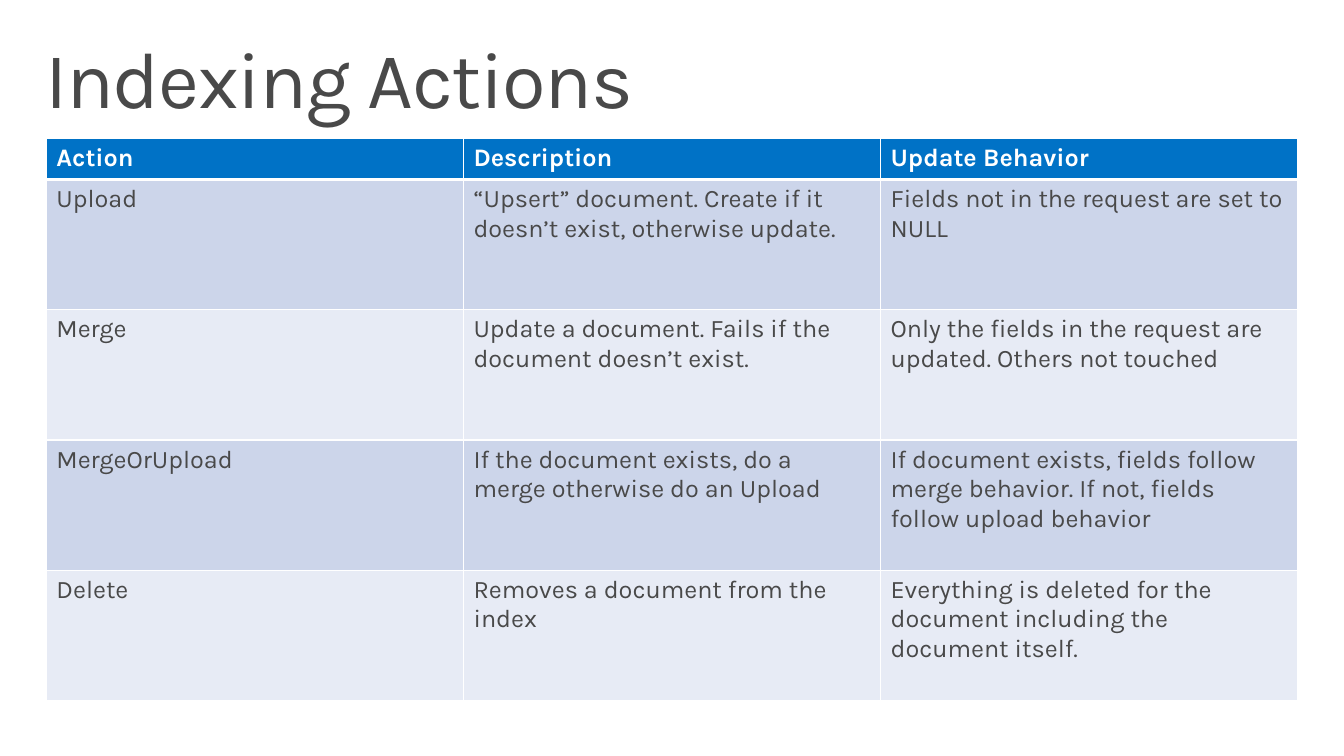
from lxml.etree import SubElement
from pptx import Presentation
from pptx.dml.color import RGBColor
from pptx.enum.text import MSO_ANCHOR, PP_ALIGN
from pptx.oxml.ns import qn
from pptx.util import Inches, Pt

WIDTH, HEIGHT = 13.33, 7.5
TITLE_ONLY = 5
ACTIONS = [
    ("Action", "Description", "Update Behavior"),
    ("Upload", "“Upsert” document. Create if it doesn’t exist, otherwise update.",
     "Fields not in the request are set to NULL"),
    ("Merge", "Update a document. Fails if the document doesn’t exist.",
     "Only the fields in the request are updated. Others not touched"),
    ("MergeOrUpload", "If the document exists, do a merge otherwise do an Upload",
     "If document exists, fields follow merge behavior. If not, fields follow upload behavior"),
    ("Delete", "Removes a document from the index",
     "Everything is deleted for the document including the document itself."),
]


def color(value):
    return RGBColor.from_string(value)


def set_borders(cell, widths, value):
    """Draw the cell's edges; widths maps L, R, T and B to points."""
    properties = cell._tc.get_or_add_tcPr()
    for side, width in widths.items():
        line = SubElement(properties, qn(f"a:ln{side}"), w=str(Pt(width)))
        fill = SubElement(line, qn("a:solidFill"))
        SubElement(fill, qn("a:srgbClr"), val=value)


class SlideBuilder:
    font_name = "Karla"
    text_color = "494949"
    white = "FFFFFF"
    header_fill = "0072C6"
    band_fills = ("CCD5EA", "E7EBF5")

    def __init__(self, presentation):
        self.slide = presentation.slides.add_slide(presentation.slide_layouts[TITLE_ONLY])
        self.width = presentation.slide_width
        self.height = presentation.slide_height

    def box(self, left, top, width, height):
        """Turn shares of the slide's size into lengths."""
        return (round(left * self.width), round(top * self.height),
                round(width * self.width), round(height * self.height))

    def style(self, font, size, value, bold=False):
        font.name = self.font_name
        font.size = Pt(size)
        font.bold = bold
        font.color.rgb = color(value)

    def title(self, text, left, top, width, height):
        shape = self.slide.shapes.title
        shape.left, shape.top, shape.width, shape.height = self.box(left, top, width, height)
        frame = shape.text_frame
        frame.word_wrap = True
        frame.vertical_anchor = MSO_ANCHOR.TOP
        frame.margin_left = frame.margin_right = Inches(0.16)
        frame.margin_top = frame.margin_bottom = Inches(0.1)
        paragraph = frame.paragraphs[0]
        paragraph.alignment = PP_ALIGN.LEFT
        paragraph.line_spacing = Pt(61.8)
        run = paragraph.add_run()
        run.text = text
        self.style(run.font, 56.9, self.text_color)
        run._r.get_or_add_rPr().set("spc", "-100")

    def table(self, rows, left, top, width, height, header_share):
        """Add a banded table with equal columns and equal body rows."""
        bounds = self.box(left, top, width, height)
        table = self.slide.shapes.add_table(len(rows), len(rows[0]), *bounds).table
        header_height = round(bounds[3] * header_share)
        body_height = (bounds[3] - header_height) // (len(rows) - 1)
        for row_index, texts in enumerate(rows):
            table.rows[row_index].height = body_height if row_index else header_height
            for column_index, text in enumerate(texts):
                self.cell(table.cell(row_index, column_index), text, row_index)

    def cell(self, cell, text, row_index):
        is_header = row_index == 0
        set_borders(cell, {"L": 1, "R": 1, "T": 3 if row_index == 1 else 1,
                           "B": 3 if is_header else 1}, self.white)
        cell.fill.solid()
        fill = self.header_fill if is_header else self.band_fills[(row_index - 1) % 2]
        cell.fill.fore_color.rgb = color(fill)
        cell.text = text
        self.style(cell.text_frame.paragraphs[0].font, 18,
                   self.white if is_header else self.text_color, is_header)


def main():
    presentation = Presentation()
    presentation.slide_width = Inches(WIDTH)
    presentation.slide_height = Inches(HEIGHT)
    builder = SlideBuilder(presentation)
    builder.title("Indexing Actions", 0.29 / WIDTH, 0.28 / HEIGHT, 9.8 / WIDTH, 1.09 / HEIGHT)
    builder.table(ACTIONS, 0.46 / WIDTH, 1.37 / HEIGHT, 12.41 / WIDTH, 5.58 / HEIGHT,
                  header_share=0.41 / 5.58)
    presentation.save("out.pptx")


if __name__ == "__main__":
    main()
